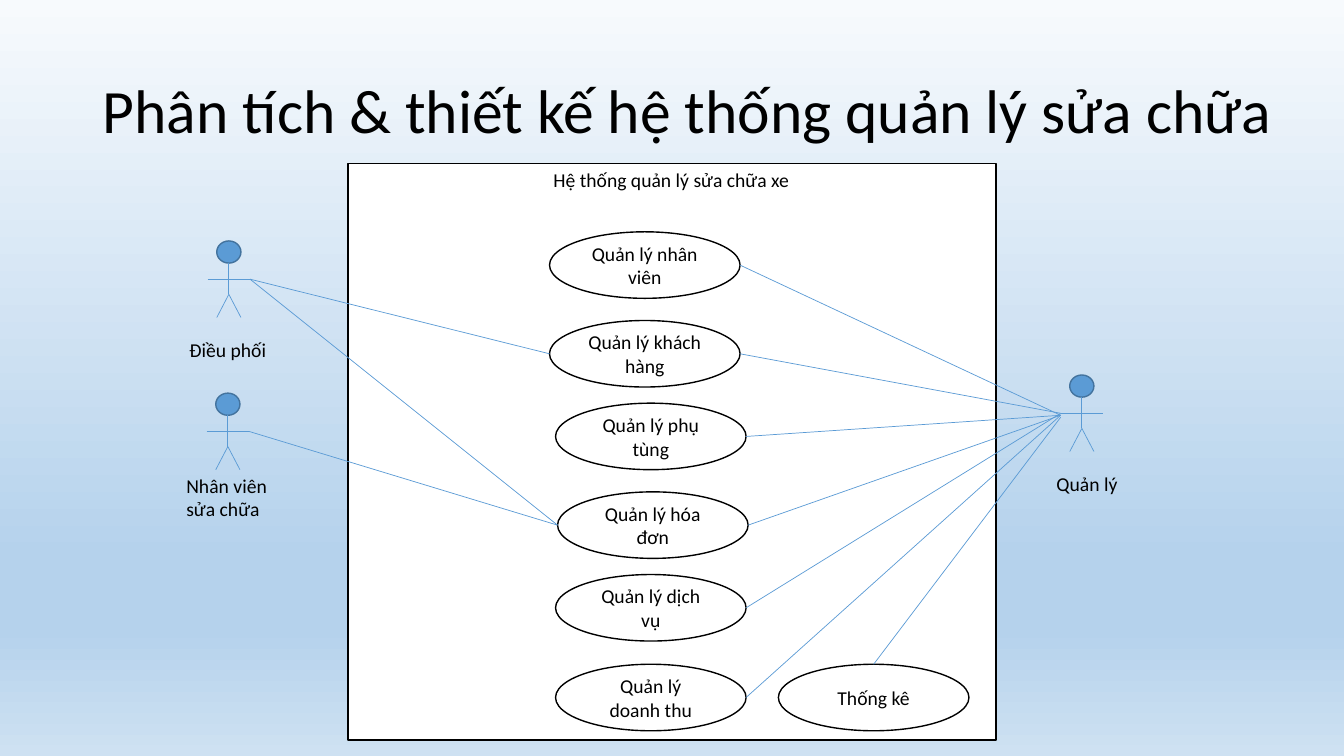
"""Build the use case diagram slide of a repair management system."""
import pptx
import pptx.util
import pptx.dml.color
import pptx.enum.shapes
import pptx.enum.text
import pptx.oxml
import pptx.oxml.ns
import lxml.etree
from pptx.util import Inches

TITLE = "Phân tích & thiết kế hệ thống quản lý sửa chữa"
SYSTEM = "Hệ thống quản lý sửa chữa xe"
ACTORS = {
    "Điều phối": {"center": 2.27, "top": 2.39, "label": (1.78, 3.3, 1.23, 0.34)},
    "Quản lý": {"center": 10.73, "top": 3.72, "label": (10.38, 4.63, 1.23, 0.34)},
    "Nhân viên sửa chữa": {"center": 2.26, "top": 3.9, "label": (1.75, 4.65, 1.23, 0.57)},
}
USE_CASES = {
    "Quản lý nhân viên": (5.45, 2.3),
    "Quản lý khách hàng": (5.45, 3.18),
    "Quản lý phụ tùng": (5.51, 4),
    "Quản lý hóa đơn": (5.53, 4.88),
    "Quản lý dịch vụ": (5.51, 5.7),
    "Quản lý doanh thu": (5.51, 6.59),
    "Thống kê": (7.72, 6.59),
}
LINKS = [
    ("Điều phối", "Quản lý hóa đơn", "left", 0),
    ("Nhân viên sửa chữa", "Quản lý hóa đơn", "left", 0),
    ("Điều phối", "Quản lý khách hàng", "left", 0),
    ("Quản lý", "Quản lý nhân viên", "right", 0.02),
    ("Quản lý", "Quản lý khách hàng", "right", 0),
    ("Quản lý", "Quản lý phụ tùng", "right", 0.02),
    ("Quản lý", "Quản lý hóa đơn", "right", 0.02),
    ("Quản lý", "Quản lý dịch vụ", "right", 0),
    ("Quản lý", "Quản lý doanh thu", "right", 0.02),
    ("Quản lý", "Thống kê", "top", 0.04),
]
THEME = {
    "font": "Calibri", "title_size": 44, "body_size": 14,
    "ink": "000000", "paper": "FFFFFF", "accent": "5B9BD5", "accent_edge": "43739E",
    "outline": 1, "stroke": 0.5,
    "sky": [(0, "F7FAFD"), (74, "B5D2EC"), (83, "B5D2EC"), (100, "CEE1F2")],
}
CASE_WIDTH, CASE_HEIGHT = 1.89, 0.66
HEAD_WIDTH, HEAD_HEIGHT = 0.24, 0.22
ARM_DROP, HIP_DROP, FOOT_DROP = 0.38, 0.53, 0.76
ARM_REACH, FOOT_REACH = 0.21, 0.12
ANCHORS = {"left": (0, 0.5), "right": (1, 0.5), "top": (0.5, 0)}
SHAPES = pptx.enum.shapes.MSO_SHAPE
ALIGN = pptx.enum.text.PP_ALIGN
FIT = pptx.enum.text.MSO_AUTO_SIZE
MIDDLE = pptx.enum.text.MSO_ANCHOR.MIDDLE


def color(name):
    return pptx.dml.color.RGBColor.from_string(THEME[name])


def apply(target, values):
    for name, value in values.items():
        setattr(target, name, value)


def write(box, text, size="body_size", align=ALIGN.LEFT, spacing=1, **frame_format):
    frame = box.text_frame
    apply(frame, {"word_wrap": True, **frame_format})
    para = frame.paragraphs[0]
    apply(para, {"alignment": align, "line_spacing": spacing})
    span = para.add_run()
    span.text = text
    apply(span.font, {"name": THEME["font"], "size": pptx.util.Pt(THEME[size])})
    span.font.color.rgb = color("ink")


def add_label(page, area, text, wrap=True):
    box = page.shapes.add_textbox(*map(Inches, area))
    write(box, text, word_wrap=wrap, auto_size=FIT.SHAPE_TO_FIT_TEXT)


def add_block(page, kind, area, fill="paper", edge="ink"):
    block = page.shapes.add_shape(kind, *map(Inches, area))
    block.shadow.inherit = False
    block.fill.solid()
    block.fill.fore_color.rgb = color(fill)
    block.line.color.rgb = color(edge)
    block.line.width = pptx.util.Pt(THEME["outline"])
    return block


def add_line(page, start, end):
    straight = pptx.enum.shapes.MSO_CONNECTOR.STRAIGHT
    line = page.shapes.add_connector(straight, *map(Inches, (*start, *end)))
    line.line.color.rgb = color("accent")
    line.line.width = pptx.util.Pt(THEME["stroke"])
    properties = line._element.spPr
    lxml.etree.SubElement(properties, pptx.oxml.ns.qn("a:effectLst"))


def add_actor(page, name, center, top, label):
    head = (center - HEAD_WIDTH / 2, top, HEAD_WIDTH, HEAD_HEIGHT)
    add_block(page, SHAPES.OVAL, head, "accent", "accent_edge")
    hip, arm = (center, top + HIP_DROP), top + ARM_DROP
    add_line(page, (center, top + HEAD_HEIGHT), hip)
    add_line(page, (center - ARM_REACH, arm), (center + ARM_REACH, arm))
    for side in (-1, 1):
        add_line(page, hip, (center + side * FOOT_REACH, top + FOOT_DROP))
    add_label(page, label, name)


def add_link(page, actor, case, side, drop):
    person, (left, top) = ACTORS[actor], USE_CASES[case]
    reach = ARM_REACH if side == "left" else -ARM_REACH
    across, down = ANCHORS[side]
    hand = (person["center"] + reach, person["top"] + ARM_DROP + drop)
    add_line(page, hand, (left + across * CASE_WIDTH, top + down * CASE_HEIGHT))


def paint_background(page):
    fill = page.background.fill
    fill.gradient()
    fill.gradient_angle = 270
    qn = pptx.oxml.ns.qn
    stops = next(page._element.iter(qn("a:gsLst")))
    for stop in list(stops):
        stops.remove(stop)
    for position, shade in THEME["sky"]:
        stop = lxml.etree.SubElement(stops, qn("a:gs"), pos=str(position * 1000))
        lxml.etree.SubElement(stop, qn("a:srgbClr"), val=shade)


def main():
    deck = pptx.Presentation()
    apply(deck, {"slide_width": Inches(13.33), "slide_height": Inches(7.5)})
    page = deck.slides.add_slide(deck.slide_layouts[5])
    paint_background(page)
    title = page.shapes.title
    apply(title, {"left": Inches(0.92), "top": Inches(0.4),
                  "width": Inches(12.42), "height": Inches(1.45)})
    write(title, TITLE, "title_size", spacing=0.9,
          vertical_anchor=MIDDLE, auto_size=FIT.NONE)
    add_block(page, SHAPES.RECTANGLE, (3.45, 1.62, 6.43, 5.72))
    add_label(page, (5.39, 1.62, 2.56, 0.34), SYSTEM, wrap=False)
    for name, actor in ACTORS.items():
        add_actor(page, name, **actor)
    for name, corner in USE_CASES.items():
        case = add_block(page, SHAPES.OVAL, (*corner, CASE_WIDTH, CASE_HEIGHT))
        write(case, name, align=ALIGN.CENTER, vertical_anchor=MIDDLE)
    for link in LINKS:
        add_link(page, *link)
    deck.save("out.pptx")


if __name__ == "__main__":
    main()
